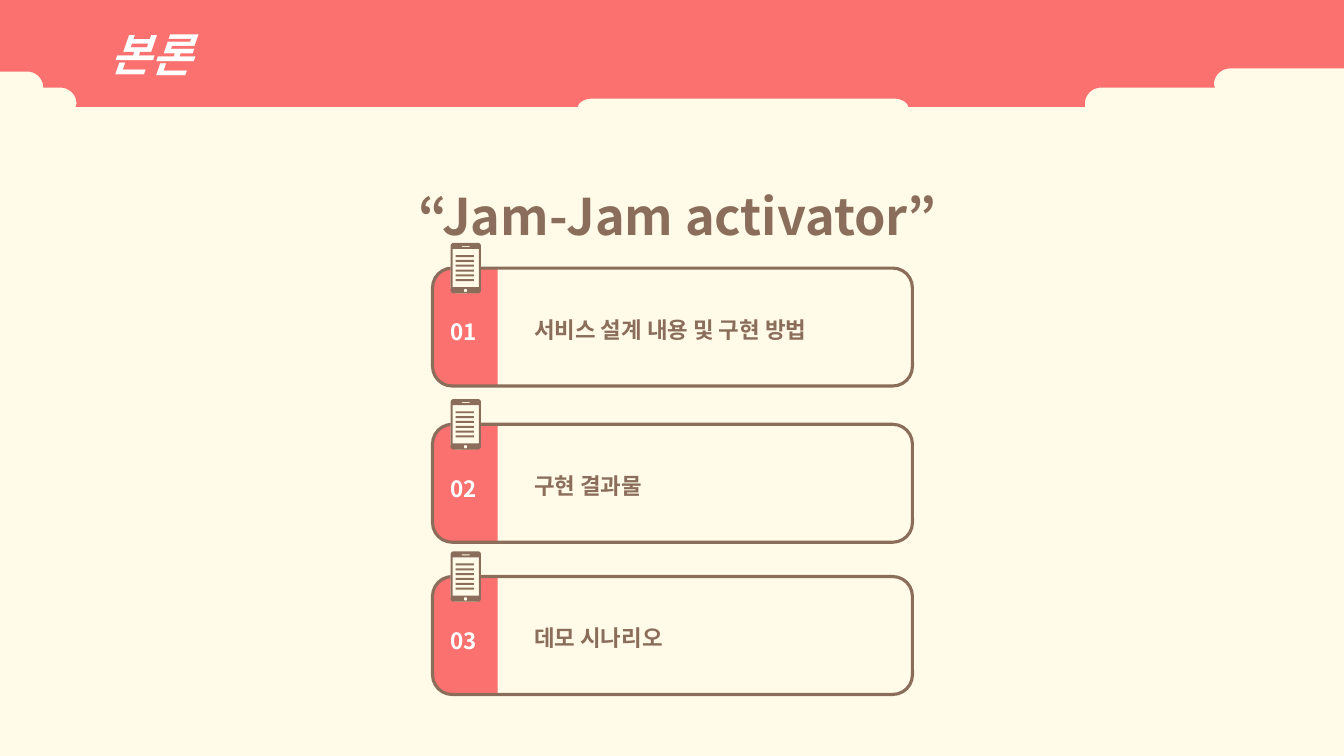
from math import cos, radians, sin

from lxml.etree import SubElement
from pptx import Presentation
from pptx.dml.color import RGBColor
from pptx.enum.shapes import MSO_SHAPE
from pptx.enum.text import MSO_ANCHOR, MSO_AUTO_SIZE, PP_ALIGN
from pptx.oxml.ns import qn
from pptx.util import Inches, Pt

COLORS = {"coral": "FB716F", "brown": "8A6E5B", "cream": "FFFBE8", "white": "FFFFFF"}
FONT = "Noto Sans CJK KR"
CARDS = [
    ("01", "서비스 설계 내용 및 구현 방법", 2.66),
    ("02", "구현 결과물", 4.21),
    ("03", "데모 시나리오", 5.72),
]


def color(name):
    return RGBColor.from_string(COLORS[name])


def paint(shape, fill=None, line=None):
    shape.shadow.inherit = False
    if fill:
        shape.fill.solid()
        shape.fill.fore_color.rgb = color(fill)
    else:
        shape.fill.background()
    if line:
        shape.line.color.rgb = color(line)
        shape.line.width = Pt(2.25)
    else:
        shape.line.fill.background()
    return shape


def add_block(shapes, kind, left, top, width, height, fill=None, line=None):
    block = shapes.add_shape(kind, Inches(left), Inches(top), Inches(width), Inches(height))
    return paint(block, fill, line)


def write(frame, text, size=16, fill="brown", italic=False, align=PP_ALIGN.LEFT,
          spacing=None, level=0):
    paragraph = frame.paragraphs[0]
    paragraph.alignment = align
    paragraph.level = level
    if spacing:
        paragraph.line_spacing = spacing
    run = paragraph.add_run()
    run.text = text
    run.font.size = Pt(size)
    run.font.name = FONT
    run.font.bold = True
    run.font.italic = italic
    run.font.color.rgb = color(fill)
    SubElement(run._r.get_or_add_rPr(), qn("a:ea"), typeface=FONT)


def add_text(shapes, text, left, top, width, height, wrap=True, **style):
    box = shapes.add_textbox(Inches(left), Inches(top), Inches(width), Inches(height))
    box.text_frame.word_wrap = wrap
    box.text_frame.auto_size = MSO_AUTO_SIZE.SHAPE_TO_FIT_TEXT
    write(box.text_frame, text, **style)


def arc(x, y, radius, start, end, steps=12):
    angles = [radians(start + (end - start) * i / steps) for i in range(steps + 1)]
    return [(x + radius * cos(a), y + radius * sin(a)) for a in angles]


def rounded_box(left, top, width, height, radius):
    right, bottom = left + width - radius, top + height - radius
    left, top = left + radius, top + radius
    return (arc(left, top, radius, 180, 270) + arc(right, top, radius, 270, 360)
            + arc(right, bottom, radius, 0, 90) + arc(left, bottom, radius, 90, 180))


def add_outline(shapes, contours, fill):
    builder = None
    for contour in contours:
        points = [(Inches(x), Inches(y)) for x, y in contour]
        if builder is None:
            builder = shapes.build_freeform(*points[0])
        else:
            builder.move_to(*points[0])
        builder.add_line_segments(points[1:], close=True)
    return paint(builder.convert_to_shape(), fill)


def add_phone(shapes, left, top):
    add_block(shapes, MSO_SHAPE.ROUNDED_RECTANGLE, left, top, 0.3, 0.5, "cream")
    add_outline(shapes, [
        rounded_box(left, top, 0.3, 0.5, 0.03),
        rounded_box(left + 0.02, top + 0.06, 0.26, 0.38, 0),
        rounded_box(left + 0.11, top + 0.03, 0.08, 0.01, 0.005),
        rounded_box(left + 0.13, top + 0.455, 0.035, 0.035, 0.0175),
    ], "brown")
    for row in range(6):
        add_block(shapes, MSO_SHAPE.RECTANGLE, left + 0.05, top + 0.12 + row * 0.048,
                  0.18, 0.02, "brown")


def add_card(slide, number, label, top):
    shapes = slide.shapes.add_group_shape().shapes
    tab = add_block(shapes, MSO_SHAPE.ROUND_2_SAME_RECTANGLE, 4.03, top + 0.26,
                    1.16, 0.65, "coral")
    tab.rotation = 270
    tab.adjustments[0] = 0.328
    add_block(shapes, MSO_SHAPE.ROUNDED_RECTANGLE, 4.29, top, 4.76, 1.17, line="brown")
    add_phone(shapes, 4.47, top - 0.25)
    add_text(shapes, label, 5.2, top + 0.29, 3.58, 0.45, spacing=1.5)
    add_text(shapes, number, 4.37, top + 0.45, 0.46, 0.37, wrap=False, fill="white")


def add_header(slide, heading):
    skyline = [
        (0, 0), (0, 0.71),
        *arc(0.27, 0.87, 0.16, 270, 360),
        *arc(0.6, 1.03, 0.16, 270, 360), (0.75, 1.06),
        (5.73, 1.06), *arc(5.86, 1.14, 0.16, 222, 270),
        *arc(8.88, 1.14, 0.16, 270, 318), (9.01, 1.06),
        (10.76, 1.06), *arc(10.92, 1.03, 0.16, 180, 270),
        (12.05, 0.87), *arc(12.2, 0.84, 0.16, 180, 270),
        (13.33, 0.68), (13.33, 0),
    ]
    header = add_outline(slide.shapes, [skyline], "coral")
    header.text_frame.vertical_anchor = MSO_ANCHOR.MIDDLE
    write(header.text_frame, heading, size=32, fill="white", italic=True, level=2)


def main():
    deck = Presentation()
    deck.slide_width, deck.slide_height = Inches(13.33), Inches(7.5)
    slide = deck.slides.add_slide(deck.slide_layouts[6])
    slide.background.fill.solid()
    slide.background.fill.fore_color.rgb = color("cream")
    add_header(slide, "본론")
    add_text(slide.shapes, "“Jam-Jam activator”", 1.76, 1.49, 9.92, 1.01,
             size=36, align=PP_ALIGN.CENTER, spacing=1.5)
    for number, label, top in CARDS:
        add_card(slide, number, label, top)
    deck.save("out.pptx")


if __name__ == "__main__":
    main()
